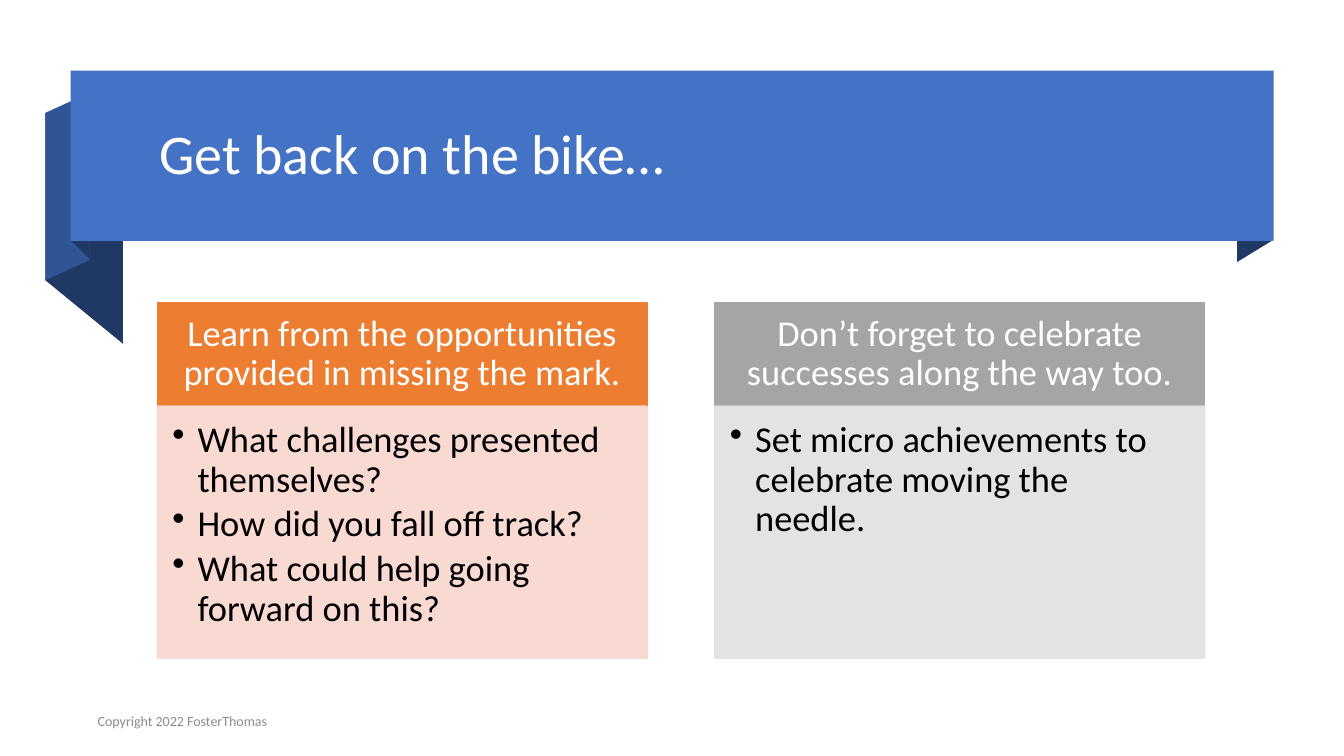
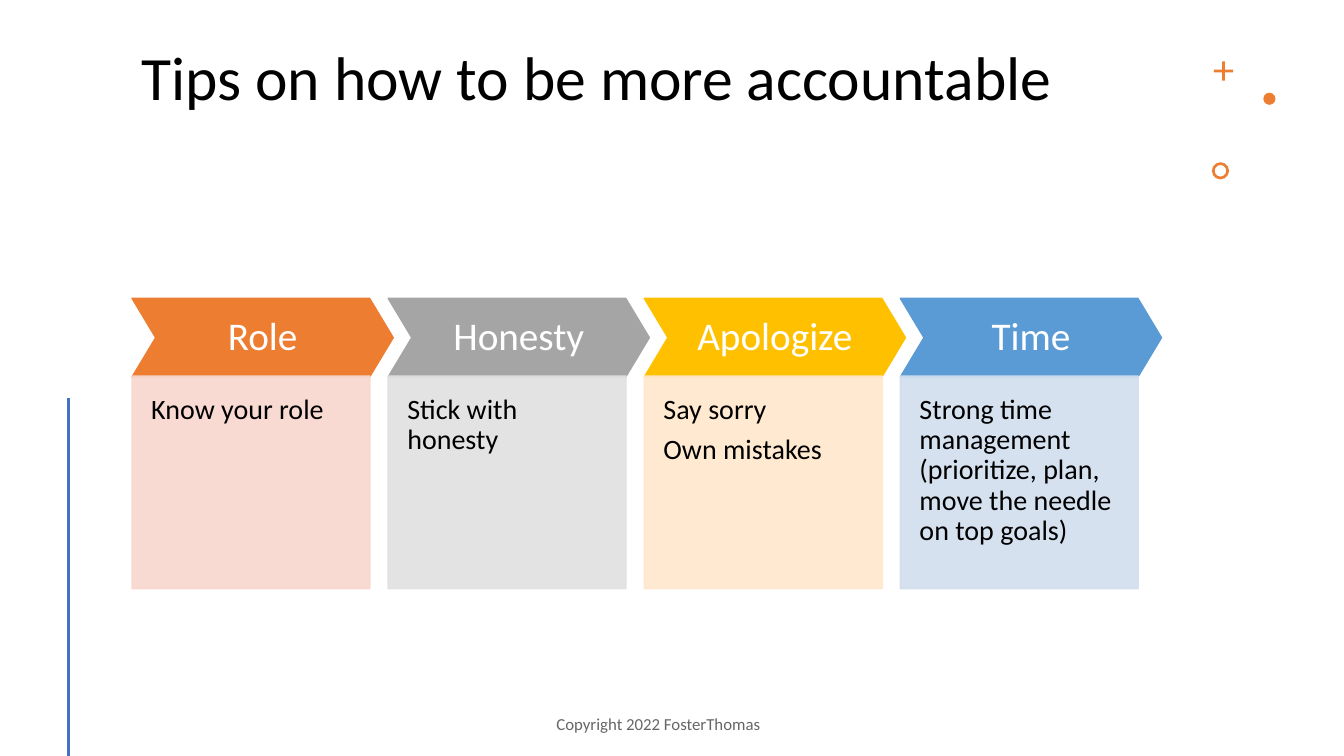
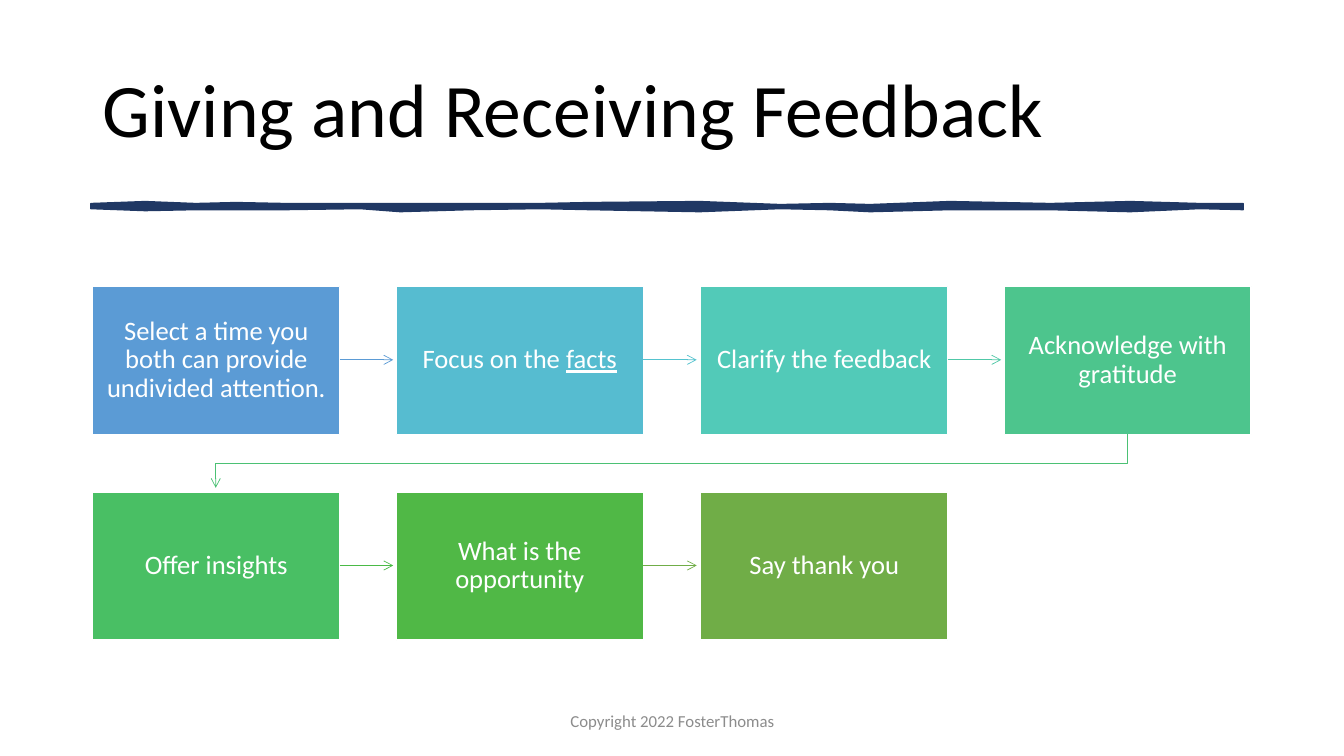
import pptx
import pptx.util
import pptx.dml.color
import pptx.enum.shapes
import pptx.enum.text
import pptx.oxml.ns
from lxml import etree

RGB = pptx.dml.color.RGBColor
Pt = pptx.util.Pt
KIND = pptx.enum.shapes.MSO_SHAPE
LINK = pptx.enum.shapes.MSO_CONNECTOR
ALIGN = pptx.enum.text.PP_ALIGN
ANCHOR = pptx.enum.text.MSO_ANCHOR
qn = pptx.oxml.ns.qn

PX = 9144  # EMU in one px, 100 px to the inch
FONT = "Calibri"

WHITE, BLACK = RGB(255, 255, 255), RGB(0, 0, 0)
BLUE, DEEP, NAVY = RGB(0x44, 0x72, 0xC4), RGB(0x2F, 0x55, 0x97), RGB(0x20, 0x38, 0x64)
ORANGE, PEACH = RGB(0xED, 0x7D, 0x31), RGB(0xF8, 0xD7, 0xCE)
GREY, PALE = RGB(0xA5, 0xA5, 0xA5), RGB(0xE1, 0xE1, 0xE1)
GOLD, CREAM = RGB(0xFF, 0xC0, 0x00), RGB(0xFF, 0xE8, 0xCC)
SKY, ICE = RGB(0x5B, 0x9B, 0xD5), RGB(0xD2, 0xDE, 0xEF)
CYAN, AQUA = RGB(0x56, 0xBC, 0xD0), RGB(0x55, 0xC3, 0xCF)
TEAL, MINT = RGB(0x52, 0xCA, 0xB8), RGB(0x50, 0xC8, 0xA7)
JADE, FERN = RGB(0x4D, 0xC5, 0x8D), RGB(0x4B, 0xC1, 0x74)
GREEN, LEAF = RGB(0x49, 0xBF, 0x64), RGB(0x4A, 0xBA, 0x46)
GRASS, OLIVE = RGB(0x50, 0xB8, 0x46), RGB(0x70, 0xAD, 0x47)
MUTED, DIM = RGB(0x8C, 0x8C, 0x8C), RGB(0x66, 0x66, 0x66)

# Content
NOTICE = "Copyright 2022 FosterThomas"

FOLDS = [
    (NAVY, [(1263, 238), (1227, 260), (1227, 91), (1263, 70)]),
    (NAVY, [(122, 341), (45, 278), (45, 112), (122, 175)]),
    (DEEP, [(89, 258), (45, 278), (45, 112), (89, 92)]),
    (NAVY, [(89, 257), (71, 239), (71, 70), (89, 89)]),
]
CARDS = [
    ("Learn from the opportunities provided in missing the mark.", ORANGE, PEACH,
     ["What challenges presented themselves?",
      "How did you fall off track?",
      "What could help going forward on this?"]),
    ("Don’t forget to celebrate successes along the way too.", GREY, PALE,
     ["Set micro achievements to celebrate moving the needle."]),
]

MARKS = [  # shape, box, adjustment
    (KIND.CROSS, (1204, 61, 19, 19), 0.43),
    (KIND.OVAL, (1253, 92, 12, 12), None),
    (KIND.DONUT, (1202, 161, 17, 17), 0.16),
]
TIPS = [
    ("Role", ORANGE, PEACH, ["Know your role"]),
    ("Honesty", GREY, PALE, ["Stick with honesty"]),
    ("Apologize", GOLD, CREAM, ["Say sorry", "Own mistakes"]),
    ("Time", SKY, ICE,
     ["Strong time management (prioritize, plan, move the needle on top goals)"]),
]

STROKE = [  # x, top, bottom of the brush line
    (90, 202, 207), (144, 200, 209), (194, 202, 208), (234, 201, 208),
    (283, 202, 208), (357, 202, 207), (397, 202, 210), (466, 202, 208),
    (536, 202, 207), (585, 201, 208), (694, 200, 210), (774, 203, 207),
    (823, 202, 208), (863, 203, 210), (942, 200, 208), (1042, 202, 208),
    (1121, 200, 210), (1190, 202, 207), (1233, 202, 208),
]
STEPS = [  # text (underlined between _), fill, arrow to the next step
    ("Select a time you both can provide undivided attention.", SKY, SKY),
    ("Focus on the _facts_", CYAN, AQUA),
    ("Clarify the feedback", TEAL, MINT),
    ("Acknowledge with gratitude", JADE, FERN),
    ("Offer insights", GREEN, LEAF),
    ("What is the opportunity", GRASS, OLIVE),
    ("Say thank you", OLIVE, None),
]


# Shared helpers
def emu(*px):
    return [round(v * PX) for v in px]


def write(shape, lines, size, color, align=ALIGN.LEFT, anchor=ANCHOR.MIDDLE,
          pad=(10, 5, 10, 5), gap=0, lead=0.9, dot=False):
    frame = shape.text_frame
    frame.word_wrap = True
    frame.auto_size = pptx.enum.text.MSO_AUTO_SIZE.NONE
    frame.vertical_anchor = anchor
    (frame.margin_left, frame.margin_top,
     frame.margin_right, frame.margin_bottom) = emu(*pad)
    for i, line in enumerate(lines):
        para = frame.add_paragraph() if i else frame.paragraphs[0]
        para.alignment, para.line_spacing, para.space_after = align, lead, Pt(gap)
        if dot:
            props = para._p.get_or_add_pPr()
            props.set("marL", str(25 * PX))
            props.set("indent", str(-25 * PX))
            etree.SubElement(props, qn("a:buChar")).set("char", "•")
        font = para.font
        font.name, font.size, font.color.rgb = FONT, Pt(size), color
        for j, part in enumerate(line.split("_")):
            if part:
                run = para.add_run()
                run.text = part
                if j % 2:
                    run.font.underline = True


def paint(shape, fill, line=None, alpha=None):
    shape.shadow.inherit = False
    shape.fill.solid()
    shape.fill.fore_color.rgb = fill
    if line is None:
        shape.line.fill.background()
    else:
        shape.line.color.rgb = line
        shape.line.width = Pt(1)
    if alpha:
        for tint in shape._element.spPr.iter(qn("a:srgbClr")):
            etree.SubElement(tint, qn("a:alpha")).set("val", str(alpha * 1000))


def block(slide, kind, box, fill, line=None, alpha=None, adj=None):
    shape = slide.shapes.add_shape(kind, *emu(*box))
    if adj is not None:
        shape.adjustments[0] = adj
    paint(shape, fill, line, alpha)
    return shape


def trace(slide, points, close=True):
    pen = slide.shapes.build_freeform(*points[0], scale=PX)
    pen.add_line_segments(points[1:], close=close)
    return pen.convert_to_shape()


def rule(slide, start, end):
    line = slide.shapes.add_connector(LINK.STRAIGHT, *emu(*start, *end))
    etree.SubElement(line._element.spPr, qn("a:effectLst"))
    return line


def ink(shape, color, width, head=False):
    shape.line.color.rgb = color
    shape.line.width = Pt(width)
    if head:
        tip = etree.SubElement(shape.line._get_or_add_ln(), qn("a:tailEnd"))
        tip.set("type", "arrow")


def title(slide, text, box, size, color=BLACK, anchor=ANCHOR.MIDDLE):
    head = slide.shapes.title
    head.left, head.top, head.width, head.height = emu(*box)
    write(head, [text], size, color, anchor=anchor)
    slide.shapes._spTree.append(head._element)  # bring in front of the band


def footer(slide, box, size, color, align=ALIGN.CENTER):
    note = slide.shapes.add_textbox(*emu(*box))
    write(note, [NOTICE], size, color, align, lead=1.0)


# Slides
def bike(slide):
    for color, points in FOLDS:
        paint(trace(slide, points), color)
    block(slide, KIND.RECTANGLE, (70, 70, 1193, 169), BLUE)
    title(slide, "Get back on the bike…", (148, 83, 1094, 145), 40, WHITE)
    footer(slide, (87, 698, 739, 35), 10, MUTED, ALIGN.LEFT)
    for i, (name, dark, light, items) in enumerate(CARDS):
        x = 156 + 553 * i
        top = block(slide, KIND.RECTANGLE, (x, 300, 486, 103), dark, dark)
        write(top, [name], 26, WHITE, ALIGN.CENTER, pad=(20, 12, 20, 12))
        body = block(slide, KIND.RECTANGLE, (x, 403, 486, 250), light, light, 90)
        write(body, items, 26, BLACK, anchor=ANCHOR.TOP,
              pad=(15, 15, 20, 23), gap=4, dot=True)


def tips(slide):
    title(slide, "Tips on how to be more accountable", (130, 42, 1023, 131), 44,
          anchor=ANCHOR.TOP)
    footer(slide, (459, 698, 388, 40), 12, DIM)
    for kind, box, adj in MARKS:
        block(slide, kind, box, ORANGE, adj=adj)
    ink(rule(slide, (68, 395), (68, 750)), BLUE, 2)
    for i, (name, dark, light, items) in enumerate(TIPS):
        x = 131 + 254 * i
        top = block(slide, KIND.CHEVRON, (x, 296, 259, 78), dark, dark, adj=0.3)
        write(top, [name], 28, WHITE, ALIGN.CENTER, pad=(10, 10, 10, 10))
        body = block(slide, KIND.RECTANGLE, (x, 373, 236, 211), light, light, 90)
        write(body, items, 20, BLACK, anchor=ANCHOR.TOP,
              pad=(19, 19, 19, 37), gap=7)


def steps(slide):
    title(slide, "Giving and Receiving Feedback", (92, 40, 1150, 145), 54)
    edge = [(x, t) for x, t, b in STROKE] + [(x, b) for x, t, b in STROKE[::-1]]
    paint(trace(slide, edge), NAVY, NAVY)
    footer(slide, (442, 695, 450, 40), 12, MUTED)
    wide, high, cols = 245, 147, 4
    left, top = 92, 284
    for i, (text, fill, arrow) in enumerate(STEPS):
        row, col = divmod(i, cols)
        x, y = left + round(904 * col / 3), top + 204 * row
        box = block(slide, KIND.RECTANGLE, (x, y, wide, high), fill, WHITE)
        write(box, [text], 19, WHITE, ALIGN.CENTER, pad=(12, 13, 12, 13))
        if arrow is None:
            continue
        if col < cols - 1:
            mid = y + high // 2
            path = rule(slide, (x + wide, mid), (x + wide + 53, mid))
        else:  # turn down to the start of the next row
            low, far, near = y + high, x + wide // 2, left + wide // 2
            path = trace(slide, [(far, low), (far, low + 29),
                                 (near, low + 29), (near, low + 53)], False)
            path.shadow.inherit = False
            path.fill.background()
        ink(path, arrow, 0.5, head=True)


def main():
    deck = pptx.Presentation()
    deck.slide_width, deck.slide_height = emu(1333, 750)
    for build in (bike, tips, steps):
        build(deck.slides.add_slide(deck.slide_layouts[5]))
    deck.save("out.pptx")


if __name__ == "__main__":
    main()
